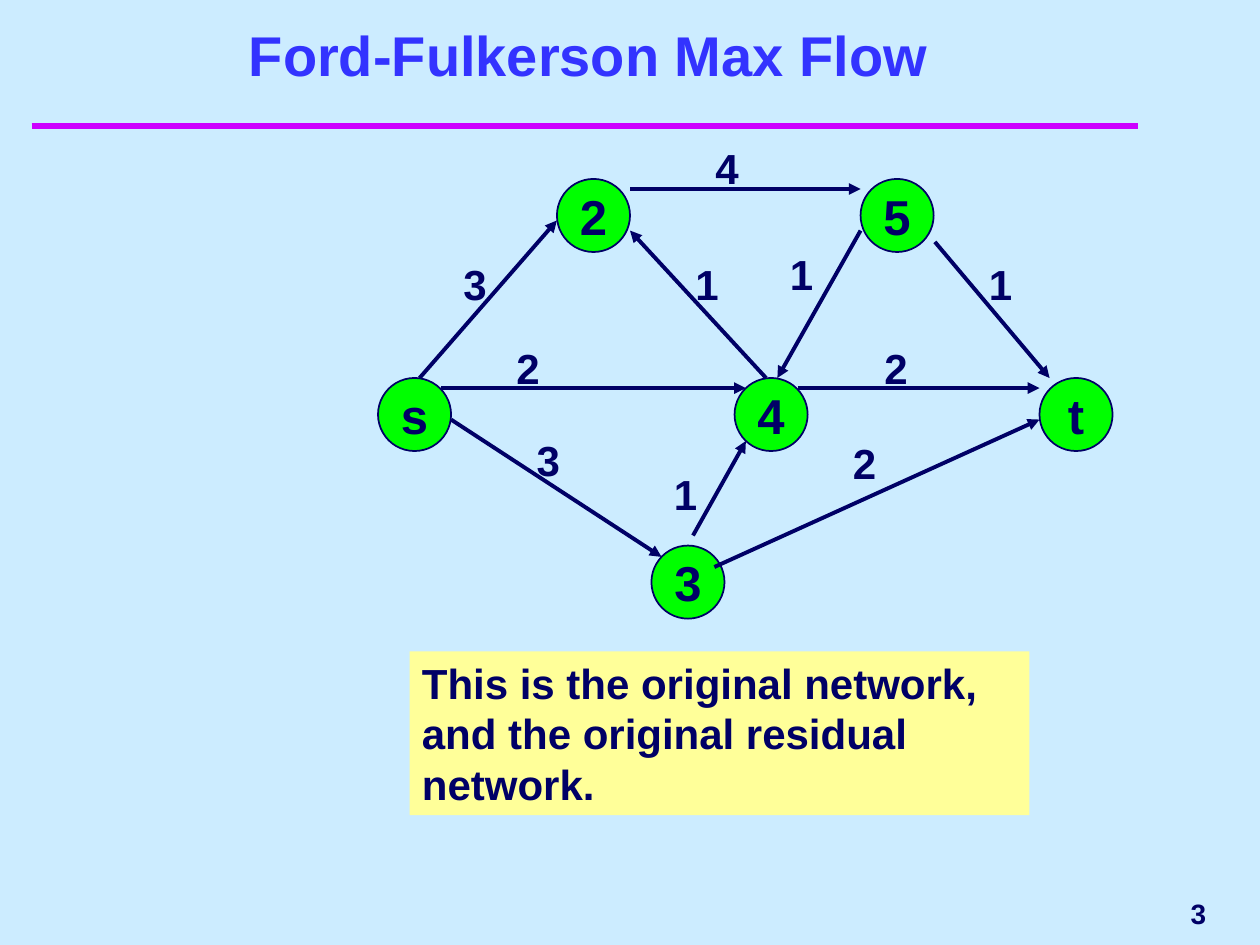
"""Build a slide showing a flow network for the Ford-Fulkerson method."""
from pptx import Presentation
from pptx import util as u
from pptx.dml.color import RGBColor
from pptx.enum import shapes, text
from pptx.oxml.ns import qn
from lxml import etree

COLORS = {"bg": "CCECFF", "title": "3333FF", "rule": "CC00FF",
          "ink": "000066", "node": "00FF00", "note": "FFFF99"}
NODE_SIZE = 0.58
NODES = [("s", 3, 3), ("2", 4.42, 1.42), ("4", 5.83, 3),
         ("5", 6.83, 1.42), ("3", 5.17, 4.33), ("t", 8.25, 3)]
CAPACITIES = [("4", 5.58, 1.08), ("1", 7.75, 2), ("1", 6.17, 1.92),
              ("2", 6.92, 2.67), ("2", 6.67, 3.42), ("1", 5.25, 3.67),
              ("2", 4, 2.67), ("3", 3.58, 2), ("3", 4.16, 3.4), ("1", 5.42, 2)]
EDGES = [(3.58, 3.33, 5.25, 4.42), (3.33, 3, 4.42, 1.75),
         (3.5, 3.08, 5.92, 3.08), (6.08, 3, 5, 1.83),
         (5, 1.5, 6.83, 1.5), (6.83, 1.83, 6.17, 3),
         (6.33, 3.08, 8.25, 3.08), (5.67, 4.5, 8.25, 3.33),
         (7.42, 1.92, 8.33, 3), (5.5, 4.25, 5.92, 3.5)]


class Deck:
    """Hold the style and the current slide."""

    def __init__(self, prs):
        self.font = "Arial"
        self.s = prs.slides.add_slide(prs.slide_layouts[5])
        fill = self.s.background.fill
        fill.solid()
        fill.fore_color.rgb = self.color("bg")

    def color(self, name):
        return RGBColor.from_string(COLORS[name])

    def set_text(self, sp, words, size, color="ink", align="LEFT", anchor="TOP", wrap=True):
        tf = sp.text_frame
        tf.text = words
        tf.word_wrap = wrap
        tf.auto_size = text.MSO_AUTO_SIZE.NONE
        tf.vertical_anchor = text.MSO_ANCHOR[anchor]
        p = tf.paragraphs[0]
        p.alignment = text.PP_ALIGN[align]
        for r in p.runs:
            r.font.name = self.font
            r.font.size = u.Pt(size)
            r.font.bold = True
            r.font.color.rgb = self.color(color)

    def title(self, words, *box):
        sp = self.s.shapes.title
        sp.left, sp.top, sp.width, sp.height = map(u.Inches, box)
        self.set_text(sp, words, 32, "title", "CENTER", "BOTTOM")

    def label(self, words, *box, size=24, **style):
        sp = self.s.shapes.add_textbox(*map(u.Inches, box))
        self.set_text(sp, words, size, **style)

    def shape(self, kind, fill, *box):
        sp = self.s.shapes.add_shape(shapes.MSO_SHAPE[kind], *map(u.Inches, box))
        sp.shadow.inherit = False
        sp.fill.solid()
        sp.fill.fore_color.rgb = self.color(fill)
        sp.line.fill.background()
        return sp

    def node(self, name, x, y):
        sp = self.shape("OVAL", "node", x, y, NODE_SIZE, NODE_SIZE)
        sp.line.color.rgb = self.color("ink")
        sp.line.width = u.Pt(1)
        self.set_text(sp, name, 28, align="CENTER", anchor="MIDDLE", wrap=False)

    def note(self, words, *box):
        self.set_text(self.shape("RECTANGLE", "note", *box), words, 24)

    def line(self, *ends, color="ink", width=2.25, arrow=True):
        c = self.s.shapes.add_connector(shapes.MSO_CONNECTOR.STRAIGHT, *map(u.Inches, ends))
        c.line.color.rgb = self.color(color)
        c.line.width = u.Pt(width)
        spPr = c.element.spPr
        if arrow:
            etree.SubElement(spPr.find(qn("a:ln")), qn("a:tailEnd"), type="triangle")
        etree.SubElement(spPr, qn("a:effectLst"))


def main():
    prs = Presentation()
    prs.slide_width, prs.slide_height = u.Inches(10), u.Inches(7.5)
    deck = Deck(prs)
    deck.line(0.25, 1, 9.03, 1, color="rule", width=4, arrow=False)
    deck.title("Ford-Fulkerson Max Flow", 0.42, 0.33, 8.5, 0.42)
    for capacity, x, y in CAPACITIES:
        deck.label(capacity, x, y, 0.59, 0.5)
    for node in NODES:
        deck.node(*node)
    for edge in EDGES:
        deck.line(*edge)
    deck.note("This is the original network, and the original residual network.",
              3.25, 5.17, 4.92, 1.3)
    deck.label("3", 7.75, 7, 1.92, 0.5, size=16, align="RIGHT", anchor="MIDDLE")
    prs.save("out.pptx")


if __name__ == "__main__":
    main()
